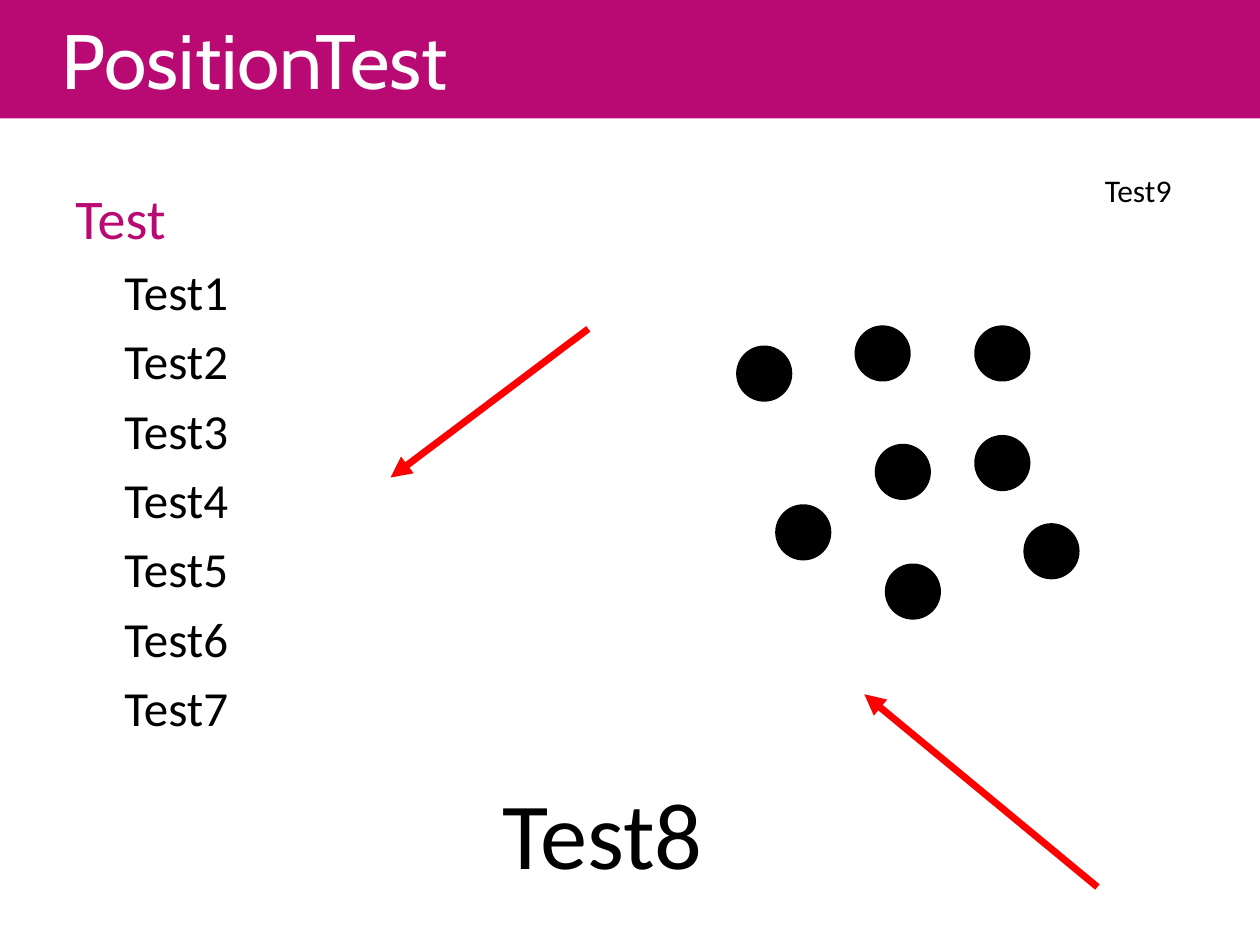
from pptx import Presentation
from pptx.dml.color import RGBColor
from pptx.enum.shapes import MSO_CONNECTOR, MSO_SHAPE
from pptx.enum.text import MSO_ANCHOR, PP_ALIGN
from pptx.oxml.ns import qn
from pptx.util import Inches, Pt
from lxml import etree

RECT, OVAL = MSO_SHAPE.RECTANGLE, MSO_SHAPE.OVAL
LINE = MSO_CONNECTOR.STRAIGHT
TOP, MIDDLE = MSO_ANCHOR.TOP, MSO_ANCHOR.MIDDLE
LEFT = PP_ALIGN.LEFT

PINK = RGBColor(0xB8, 0x0A, 0x72)
WHITE = RGBColor(0xFF, 0xFF, 0xFF)
BLACK = RGBColor(0, 0, 0)
RED = RGBColor(0xFF, 0, 0)

# Content
TITLE = "PositionTest"
HEAD = "Test"
ITEMS = [f"Test{n}" for n in range(1, 8)]
NOTES = [  # text, size, box
    ("Test8", 54, (3.89, 6.1, 1.82, 1.01)),
    ("Test9", 18, (8.67, 1.31, 0.81, 0.4)),
]
DOTS = [(5.87, 2.77), (6.18, 4.03), (7.76, 3.48), (6.81, 2.61),
        (8.15, 4.18), (7.76, 2.61), (7.05, 4.5), (6.97, 3.55)]
DOT = 0.39
ARROWS = [(4.67, 2.61, 3.1, 3.79), (8.71, 7.04, 6.86, 5.51)]  # tail to tip
STROKE = 4

# Text formats
TITLE_FONT = dict(name="Cabin", size=Pt(44))
HEAD_FONT = dict(name="Calibri", size=Pt(32))
ITEM_FONT = dict(name="Calibri", size=Pt(28))


def inches(box):
    return [Inches(v) for v in box]


def write(para, text, font, color, before=0, margin=0, indent=0):
    run = para.add_run()
    run.text = text
    for key, value in font.items():
        setattr(run.font, key, value)
    run.font.color.rgb = color
    para.alignment = LEFT
    para.space_before = Pt(before)
    props = para._p.get_or_add_pPr()
    props.set("marL", str(Inches(margin)))
    props.set("indent", str(Inches(indent)))


def add_shape(slide, kind, box, fill):
    shape = slide.shapes.add_shape(kind, *inches(box))
    shape.shadow.inherit = False
    shape.fill.solid()
    shape.fill.fore_color.rgb = fill
    return shape


def add_text(slide, box, wrap):
    frame = slide.shapes.add_textbox(*inches(box)).text_frame
    frame.word_wrap = wrap
    frame.vertical_anchor = TOP
    return frame


def add_arrow(slide, ends):
    arrow = slide.shapes.add_connector(LINE, *inches(ends))
    arrow.line.color.rgb = RED
    arrow.line.width = Pt(STROKE)
    tip = etree.SubElement(arrow.line._get_or_add_ln(), qn("a:tailEnd"))
    tip.set("type", "triangle")
    etree.SubElement(arrow._element.spPr, qn("a:effectLst"))


def main():
    deck = Presentation()
    deck.slide_width, deck.slide_height = Inches(10), Inches(7.5)
    slide = deck.slides.add_slide(deck.slide_layouts[6])

    # Title band
    band = add_shape(slide, RECT, (0, 0, 10, 0.94), PINK)
    band.line.fill.background()
    band.text_frame.vertical_anchor = MIDDLE
    write(band.text_frame.paragraphs[0], TITLE, TITLE_FONT, WHITE, margin=0.39)

    # Heading and list
    body = add_text(slide, (0.5, 1.41, 9, 5.7), True)
    write(body.paragraphs[0], HEAD, HEAD_FONT, PINK, before=18)
    for item in ITEMS:
        para = body.add_paragraph()
        para.level = 1
        write(para, item, ITEM_FONT, BLACK, 6, 0.58, -0.19)

    # Dots
    for left, top in DOTS:
        dot = add_shape(slide, OVAL, (left, top, DOT, DOT), BLACK)
        dot.line.color.rgb = BLACK
        dot.line.width = Pt(STROKE)

    # Loose labels
    for text, size, box in NOTES:
        frame = add_text(slide, box, False)
        write(frame.paragraphs[0], text, dict(name="Calibri", size=Pt(size)), BLACK)

    # Arrows
    for ends in ARROWS:
        add_arrow(slide, ends)

    deck.save("out.pptx")


if __name__ == "__main__":
    main()
